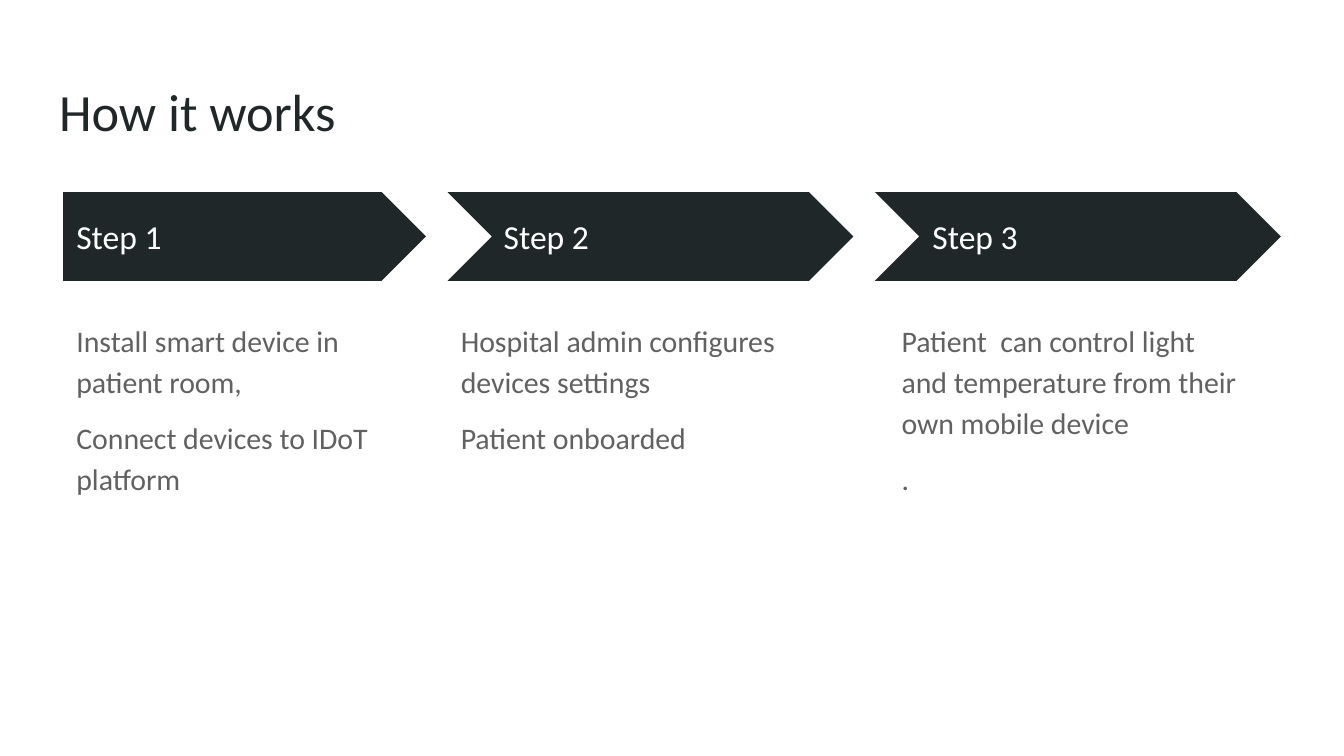
from dataclasses import dataclass

from pptx import Presentation
from pptx.dml.color import RGBColor
from pptx.enum.shapes import MSO_SHAPE
from pptx.enum.text import MSO_ANCHOR, MSO_AUTO_SIZE, PP_ALIGN
from pptx.shapes.autoshape import Shape
from pptx.slide import Slide
from pptx.util import Inches, Pt


@dataclass(frozen=True)
class Theme:
    """Colours, font and type sizes of the slide."""

    font: str = "Calibri"
    dark: RGBColor = RGBColor(0x20, 0x27, 0x29)
    light: RGBColor = RGBColor(0xFF, 0xFF, 0xFF)
    grey: RGBColor = RGBColor(0x61, 0x61, 0x61)
    title_size: int = 28
    step_size: int = 18
    body_size: int = 16


@dataclass(frozen=True)
class Step:
    """One process step: its arrow, its label and its description."""

    label: str
    details: tuple[str, ...]
    arrow: MSO_SHAPE
    left: float
    width: float
    label_left: float
    body_left: float
    body_width: float


THEME = Theme()
ARROW_TOP, ARROW_HEIGHT = 1.43, 0.66
LABEL_WIDTH, LABEL_HEIGHT = 2.47, 0.34
BODY_TOP, BODY_HEIGHT = 2.26, 2.9

STEPS = (
    Step("Step 1",
         ("Install smart device in patient room,", "Connect devices to IDoT platform"),
         MSO_SHAPE.PENTAGON, 0.47, 2.7, 0.47, 0.47, 2.7),
    Step("Step 2",
         ("Hospital admin configures devices settings", "Patient onboarded"),
         MSO_SHAPE.CHEVRON, 3.33, 3.02, 3.65, 3.33, 3.02),
    Step("Step 3",
         ("Patient  can control light and temperature from their own mobile device", "."),
         MSO_SHAPE.CHEVRON, 6.51, 3.02, 6.84, 6.61, 2.7),
)


def write_text(shape: Shape, lines: tuple[str, ...], size: int, color: RGBColor,
               anchor: MSO_ANCHOR = MSO_ANCHOR.TOP) -> None:
    """Fill a shape with left-aligned paragraphs in one style."""
    frame = shape.text_frame
    frame.text = "\n".join(lines)
    frame.word_wrap = True
    frame.auto_size = MSO_AUTO_SIZE.NONE
    frame.vertical_anchor = anchor
    frame.margin_left = frame.margin_right = Inches(0.1)
    frame.margin_top = frame.margin_bottom = Inches(0.1)
    for paragraph in frame.paragraphs:
        paragraph.alignment = PP_ALIGN.LEFT
        for run in paragraph.runs:
            run.font.name = THEME.font
            run.font.size = Pt(size)
            run.font.color.rgb = color


def add_title(slide: Slide, text: str) -> None:
    """Place and format the title placeholder."""
    title = slide.shapes.title
    title.left, title.top = Inches(0.34), Inches(0.49)
    title.width, title.height = Inches(9.32), Inches(0.63)
    write_text(title, (text,), THEME.title_size, THEME.dark)


def add_step(slide: Slide, step: Step) -> None:
    """Draw a step's arrow, label and description."""
    arrow = slide.shapes.add_shape(step.arrow, Inches(step.left), Inches(ARROW_TOP),
                                   Inches(step.width), Inches(ARROW_HEIGHT))
    arrow.adjustments[0] = 0.5
    arrow.shadow.inherit = False
    arrow.fill.solid()
    arrow.fill.fore_color.rgb = THEME.dark
    arrow.line.fill.background()

    label_top = ARROW_TOP + (ARROW_HEIGHT - LABEL_HEIGHT) / 2
    label = slide.shapes.add_textbox(Inches(step.label_left), Inches(label_top),
                                     Inches(LABEL_WIDTH), Inches(LABEL_HEIGHT))
    write_text(label, (step.label,), THEME.step_size, THEME.light, MSO_ANCHOR.MIDDLE)

    body = slide.shapes.add_textbox(Inches(step.body_left), Inches(BODY_TOP),
                                    Inches(step.body_width), Inches(BODY_HEIGHT))
    write_text(body, step.details, THEME.body_size, THEME.grey)
    for paragraph in body.text_frame.paragraphs:
        paragraph.line_spacing = 1.15
        paragraph.space_after = Pt(8)


def main() -> None:
    """Build and save the presentation."""
    presentation = Presentation()
    presentation.slide_width = Inches(10)
    presentation.slide_height = Inches(10 * 9 / 16)
    slide = presentation.slides.add_slide(presentation.slide_layouts.get_by_name("Title Only"))
    add_title(slide, "How it works")
    for step in STEPS:
        add_step(slide, step)
    presentation.save("out.pptx")


if __name__ == "__main__":
    main()
